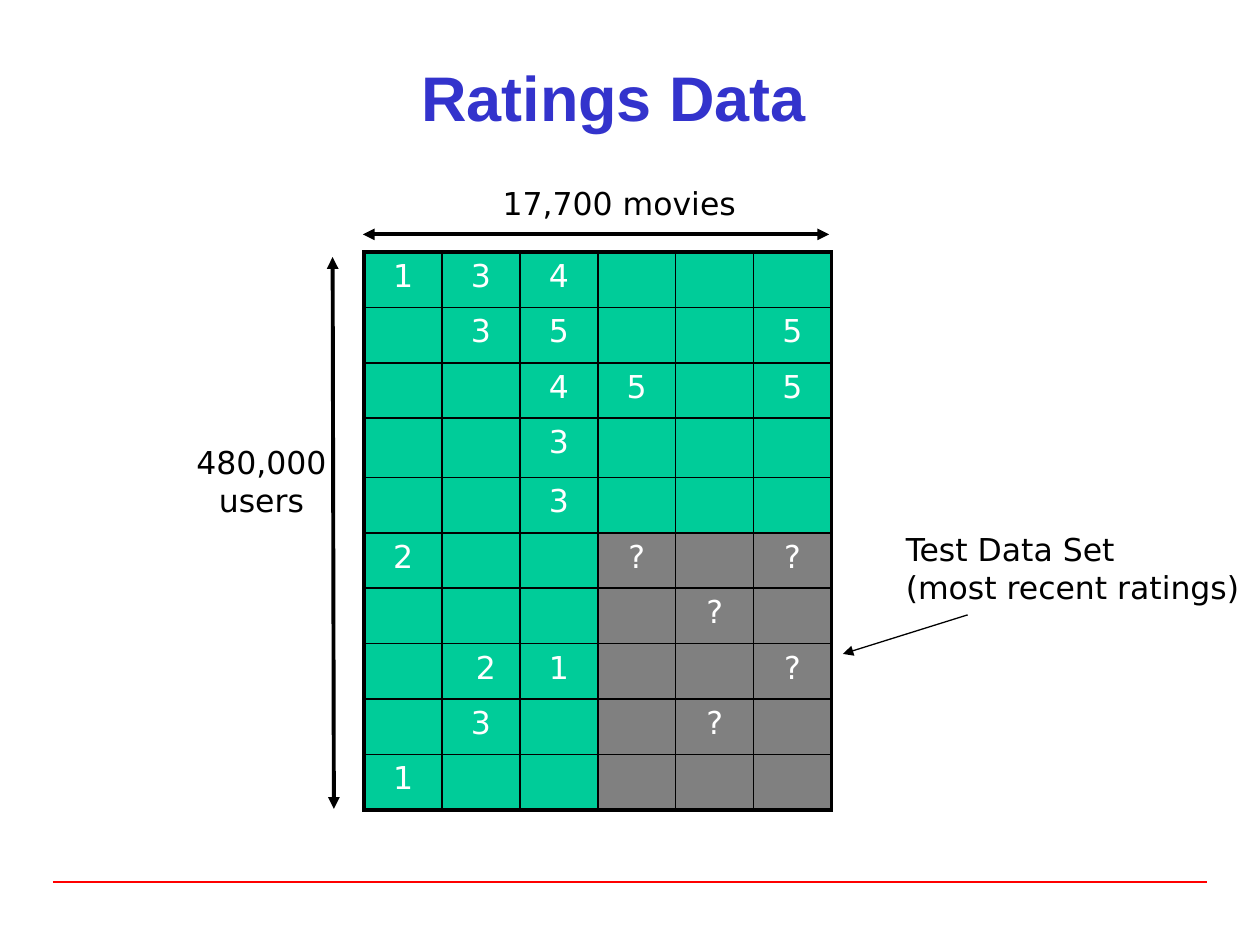
from lxml.etree import SubElement
from pptx import Presentation
from pptx.dml.color import RGBColor
from pptx.enum.shapes import MSO_CONNECTOR
from pptx.enum.text import MSO_ANCHOR, MSO_AUTO_SIZE, PP_ALIGN
from pptx.oxml.ns import qn
from pptx.util import Inches, Pt

BLACK = RGBColor(0x00, 0x00, 0x00)
WHITE = RGBColor(0xFF, 0xFF, 0xFF)
RED = RGBColor(0xFF, 0x00, 0x00)
BLUE = RGBColor(0x33, 0x33, 0xCC)
GREEN = RGBColor(0x00, 0xCC, 0x99)
GRAY = RGBColor(0x80, 0x80, 0x80)

RATINGS = [
    ["1", "3", "4", "", "", ""],
    ["", "3", "5", "", "", "5"],
    ["", "", "4", "5", "", "5"],
    ["", "", "3", "", "", ""],
    ["", "", "3", "", "", ""],
    ["2", "", "", "?", "", "?"],
    ["", "", "", "", "?", ""],
    ["", " 2", "1", "", "", "?"],
    ["", "3", "", "", "?", ""],
    ["1", "", "", "", "", ""],
]
ROWS, COLUMNS = len(RATINGS), len(RATINGS[0])
TEST_ROW, TEST_COLUMN = 5, 3
LEFT, TOP, WIDTH = 2.89, 2, 3.71
ROW_HEIGHT, TALL_ROW, TALL_HEIGHT = 0.44, 3, 0.47
HEIGHT = ROW_HEIGHT * (ROWS - 1) + TALL_HEIGHT


def write_text(frame, text, font="DejaVu Sans", size=18, color=BLACK, bold=False,
               align=PP_ALIGN.LEFT):
    frame.text = text
    for paragraph in frame.paragraphs:
        paragraph.alignment = align
        paragraph.font.name = font
        paragraph.font.size = Pt(size)
        paragraph.font.bold = bold
        paragraph.font.color.rgb = color


def add_line(start, end, color=BLACK, width=2.25, arrows=("headEnd", "tailEnd")):
    points = [Inches(value) for value in (*start, *end)]
    connector = slide.shapes.add_connector(MSO_CONNECTOR.STRAIGHT, *points)
    connector.line.color.rgb = color
    connector.line.width = Pt(width)
    for arrow in arrows:
        SubElement(connector.line._get_or_add_ln(), qn(f"a:{arrow}"), type="triangle")
    SubElement(connector._element.spPr, qn("a:effectLst"))


presentation = Presentation()
presentation.slide_width = Inches(10)
presentation.slide_height = Inches(7.5)
slide = presentation.slides.add_slide(presentation.slide_layouts[5])

# Footer rule
add_line((0.42, 7), (9.58, 7), color=RED, width=1, arrows=())

# Title
title = slide.shapes.title
title.left, title.top = Inches(0.62), Inches(0.43)
title.width, title.height = Inches(8.5), Inches(0.67)
title.text_frame.vertical_anchor = MSO_ANCHOR.MIDDLE
write_text(title.text_frame, "Ratings Data", font="Arial", size=36, color=BLUE,
           bold=True, align=PP_ALIGN.CENTER)

# Ratings matrix, with the test set in its lower right corner
table = slide.shapes.add_table(ROWS, COLUMNS, Inches(LEFT), Inches(TOP),
                               Inches(WIDTH), Inches(HEIGHT)).table
table.first_row = table.horz_banding = False
for column in table.columns:
    column.width = Inches(WIDTH / COLUMNS)
for row_index, ratings in enumerate(RATINGS):
    table.rows[row_index].height = Inches(
        TALL_HEIGHT if row_index == TALL_ROW else ROW_HEIGHT)
    for column_index, rating in enumerate(ratings):
        cell = table.cell(row_index, column_index)
        write_text(cell.text_frame, rating, color=WHITE, align=PP_ALIGN.CENTER)
        # Thick borders run along the outer edge only
        outer_edges = {
            "lnL": column_index == 0,
            "lnR": column_index == COLUMNS - 1,
            "lnT": row_index == 0,
            "lnB": row_index == ROWS - 1,
        }
        properties = cell._tc.get_or_add_tcPr()
        for edge, is_outer in outer_edges.items():
            border = SubElement(properties, qn(f"a:{edge}"),
                                w=str(Pt(2.25 if is_outer else 1)))
            fill = SubElement(border, qn("a:solidFill"))
            SubElement(fill, qn("a:srgbClr"), val=str(BLACK))
        in_test_set = row_index >= TEST_ROW and column_index >= TEST_COLUMN
        cell.fill.solid()
        cell.fill.fore_color.rgb = GRAY if in_test_set else GREEN

# Labels
labels = [
    ("Test Data Set\n(most recent ratings)", (7.09, 4.16, 2.91, 0.71), False, PP_ALIGN.LEFT),
    ("480,000\nusers", (1.1, 3.47, 1.95, 0.7), True, PP_ALIGN.CENTER),
    ("17,700 movies", (3.89, 1.41, 2.08, 0.4), False, PP_ALIGN.LEFT),
]
for text, box, wrap, align in labels:
    label = slide.shapes.add_textbox(*[Inches(value) for value in box])
    label.text_frame.word_wrap = wrap
    label.text_frame.auto_size = MSO_AUTO_SIZE.SHAPE_TO_FIT_TEXT
    write_text(label.text_frame, text, align=align)

# Dimension arrows and test set pointer
add_line((2.64, 2.04), (2.65, 6.42))
add_line((2.88, 1.86), (6.58, 1.86))
add_line((7.68, 4.88), (6.69, 5.19), width=0.75, arrows=("tailEnd",))

presentation.save("out.pptx")
